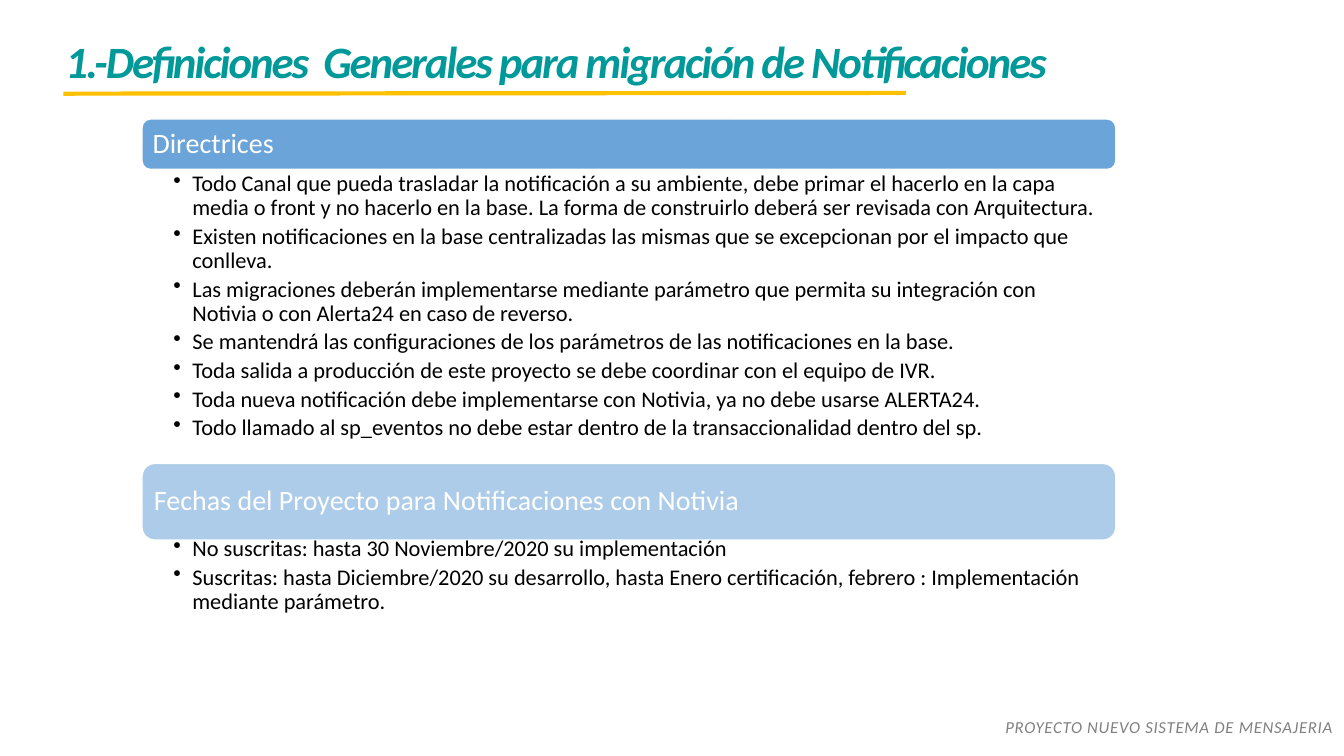
from dataclasses import dataclass

from lxml import etree
from pptx import Presentation
from pptx.dml import color
from pptx.enum import shapes, text
from pptx.oxml import ns
from pptx.util import Cm, Pt

COLORS = {
    "teal": "009999",
    "gold": "FFC000",
    "blue": "5B9BD5",
    "gray": "808080",
    "black": "000000",
    "white": "FFFFFF",
}
FONT = "Calibri"
LEFT, WIDTH = 3.58, 24.54
HANG = 0.48


@dataclass
class Box:
    """Place of a shape, in centimetres."""
    x: float
    y: float
    w: float
    h: float

    def lengths(self) -> tuple:
        return Cm(self.x), Cm(self.y), Cm(self.w), Cm(self.h)


@dataclass
class Style:
    size: float
    color: str
    bold: bool = False
    italic: bool = False
    spacing: float = 0


@dataclass
class Section:
    heading: str
    header: Box
    body: Box
    opacity: int
    bullets: list[str]


TITLE = Style(32, "teal", bold=True, italic=True, spacing=-1.5)
FOOTER = Style(12, "gray", italic=True, spacing=0.5)
HEADING = Style(20, "white")
BULLET = Style(16, "black")

SECTIONS = [
    Section("Directrices", Box(LEFT, 3, WIDTH, 1.27), Box(LEFT, 4.29, WIDTH, 7.19), 90, [
        "Todo Canal que pueda trasladar la notificación a su ambiente, debe primar el hacerlo "
        "en la capa media o front y no hacerlo en la base. La forma de construirlo deberá ser "
        "revisada con Arquitectura.",
        "Existen notificaciones en la base centralizadas las mismas que se excepcionan por el "
        "impacto que conlleva.",
        "Las migraciones deberán implementarse mediante parámetro que permita su integración "
        "con Notivia o con Alerta24 en caso de reverso.",
        "Se mantendrá las configuraciones de los parámetros de las notificaciones en la base.",
        "Toda salida a producción de este proyecto se debe coordinar con el equipo de IVR.",
        "Toda nueva notificación debe implementarse con Notivia, ya no debe usarse ALERTA24.",
        "Todo llamado al sp_eventos no debe estar dentro de la transaccionalidad dentro del sp.",
    ]),
    Section("Fechas del Proyecto para Notificaciones con Notivia",
            Box(LEFT, 11.68, WIDTH, 1.93), Box(LEFT, 13.49, WIDTH, 2.79), 50, [
        "No suscritas: hasta 30 Noviembre/2020 su implementación",
        "Suscritas: hasta Diciembre/2020 su desarrollo, hasta Enero certificación, febrero : "
        "Implementación mediante parámetro.",
    ]),
]


def rgb(name: str) -> color.RGBColor:
    return color.RGBColor.from_string(COLORS[name])


def add_frame(s, box: Box, margins: tuple = (0.25, 0.13, 0.25, 0.13)):
    """Add a wrapping text box; margins are left, top, right, bottom in cm."""
    tf = s.shapes.add_textbox(*box.lengths()).text_frame
    tf.word_wrap = True
    tf.margin_left, tf.margin_top, tf.margin_right, tf.margin_bottom = map(Cm, margins)
    return tf


def add_run(p, content: str, style: Style) -> None:
    r = p.add_run()
    r.text = content
    r.font.name = FONT
    r.font.size = Pt(style.size)
    r.font.bold = style.bold
    r.font.italic = style.italic
    r.font.color.rgb = rgb(style.color)
    if style.spacing:
        r.font._element.set("spc", str(int(style.spacing * 100)))


def add_bullet(p) -> None:
    p_pr = p._p.get_or_add_pPr()
    p_pr.set("marL", str(Cm(HANG)))
    p_pr.set("indent", str(-Cm(HANG)))
    etree.SubElement(p_pr, ns.qn("a:buChar")).set("char", "•")


def add_header(s, section: Section) -> None:
    box = section.header
    sp = s.shapes.add_shape(shapes.MSO_SHAPE.ROUNDED_RECTANGLE, *box.lengths())
    sp.shadow.inherit = False
    sp.fill.solid()
    sp.fill.fore_color.rgb = rgb("blue")
    fill = sp._element.spPr.find(f"{ns.qn('a:solidFill')}/{ns.qn('a:srgbClr')}")
    etree.SubElement(fill, ns.qn("a:alpha")).set("val", str(section.opacity * 1000))
    sp.line.color.rgb = rgb("white")
    sp.line.width = Pt(1)

    inset = box.h * 0.05
    label = Box(box.x + inset, box.y + inset, box.w - 2 * inset, box.h - 2 * inset)
    tf = add_frame(s, label, (0.2, 0.2, 0.2, 0.2))
    tf.vertical_anchor = text.MSO_ANCHOR.MIDDLE
    p = tf.paragraphs[0]
    p.line_spacing = 0.9
    add_run(p, section.heading, HEADING)


def add_body(s, section: Section) -> None:
    tf = add_frame(s, section.body, (0.79, 0.05, 0.3, 0.05))
    for i, bullet in enumerate(section.bullets):
        p = tf.add_paragraph() if i else tf.paragraphs[0]
        add_bullet(p)
        p.level = 1
        p.line_spacing = 0.9
        p.space_after = Pt(BULLET.size * 0.2)
        add_run(p, bullet, BULLET)


def add_title(s) -> None:
    tf = add_frame(s, Box(1.4, 0.71, 29.95, 1.63))
    add_run(tf.paragraphs[0], "1.-Definiciones  Generales para migración de Notificaciones", TITLE)
    rule = s.shapes.add_connector(
        shapes.MSO_CONNECTOR.STRAIGHT, Cm(1.6), Cm(2.36), Cm(22.83), Cm(2.34))
    rule.line.color.rgb = rgb("gold")
    rule.line.width = Pt(3)
    etree.SubElement(rule._element.spPr, ns.qn("a:effectLst"))


def add_footer(s) -> None:
    p = add_frame(s, Box(10.13, 17.93, 23.72, 0.76)).paragraphs[0]
    p.alignment = text.PP_ALIGN.RIGHT
    add_run(p, "PROYECTO NUEVO SISTEMA DE MENSAJERIA", FOOTER)


def main() -> None:
    prs = Presentation()
    prs.slide_width, prs.slide_height = Cm(33.87), Cm(19.05)
    s = prs.slides.add_slide(prs.slide_layouts[6])
    add_title(s)
    add_footer(s)
    for section in SECTIONS:
        add_header(s, section)
        add_body(s, section)
    prs.save("out.pptx")


if __name__ == "__main__":
    main()
